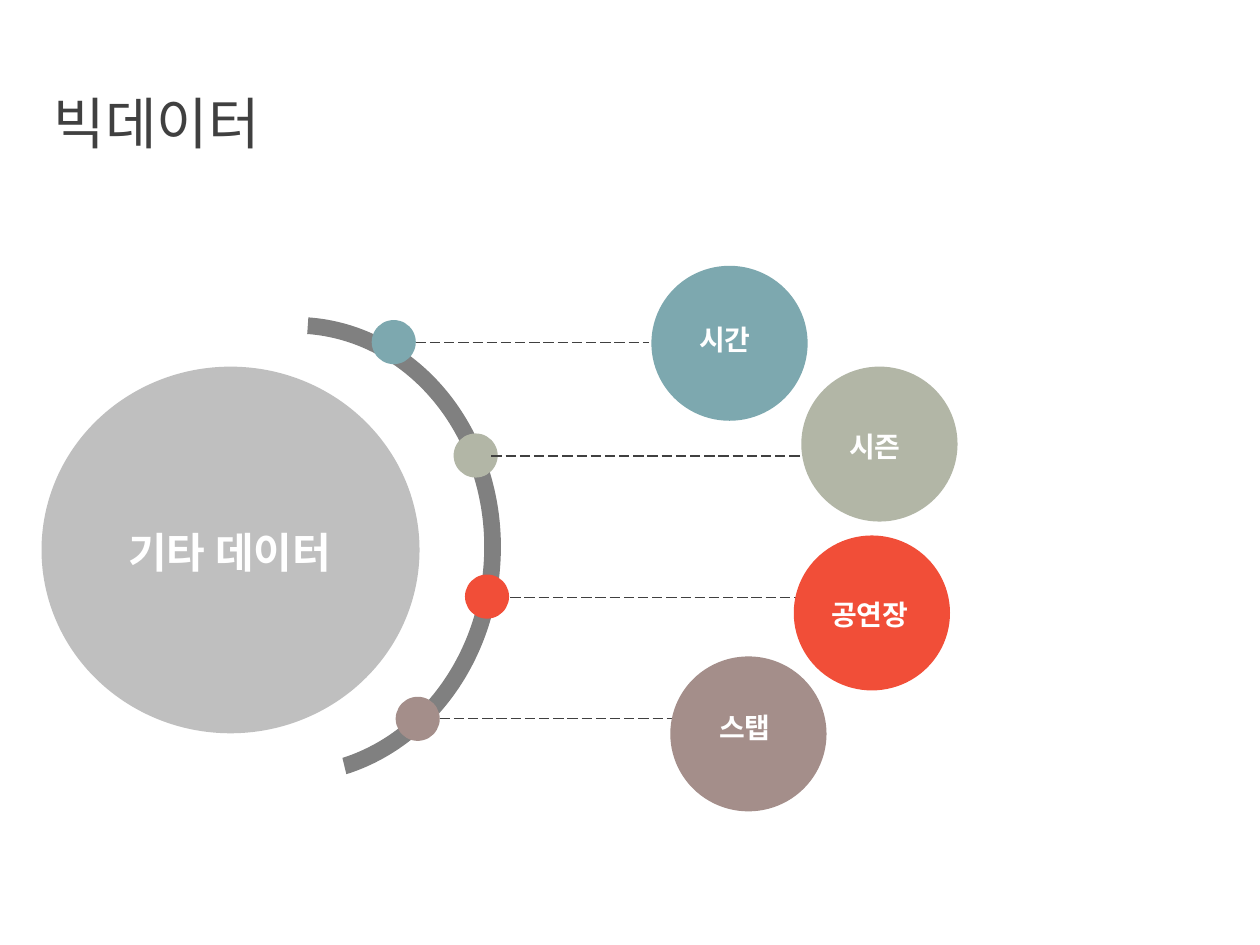
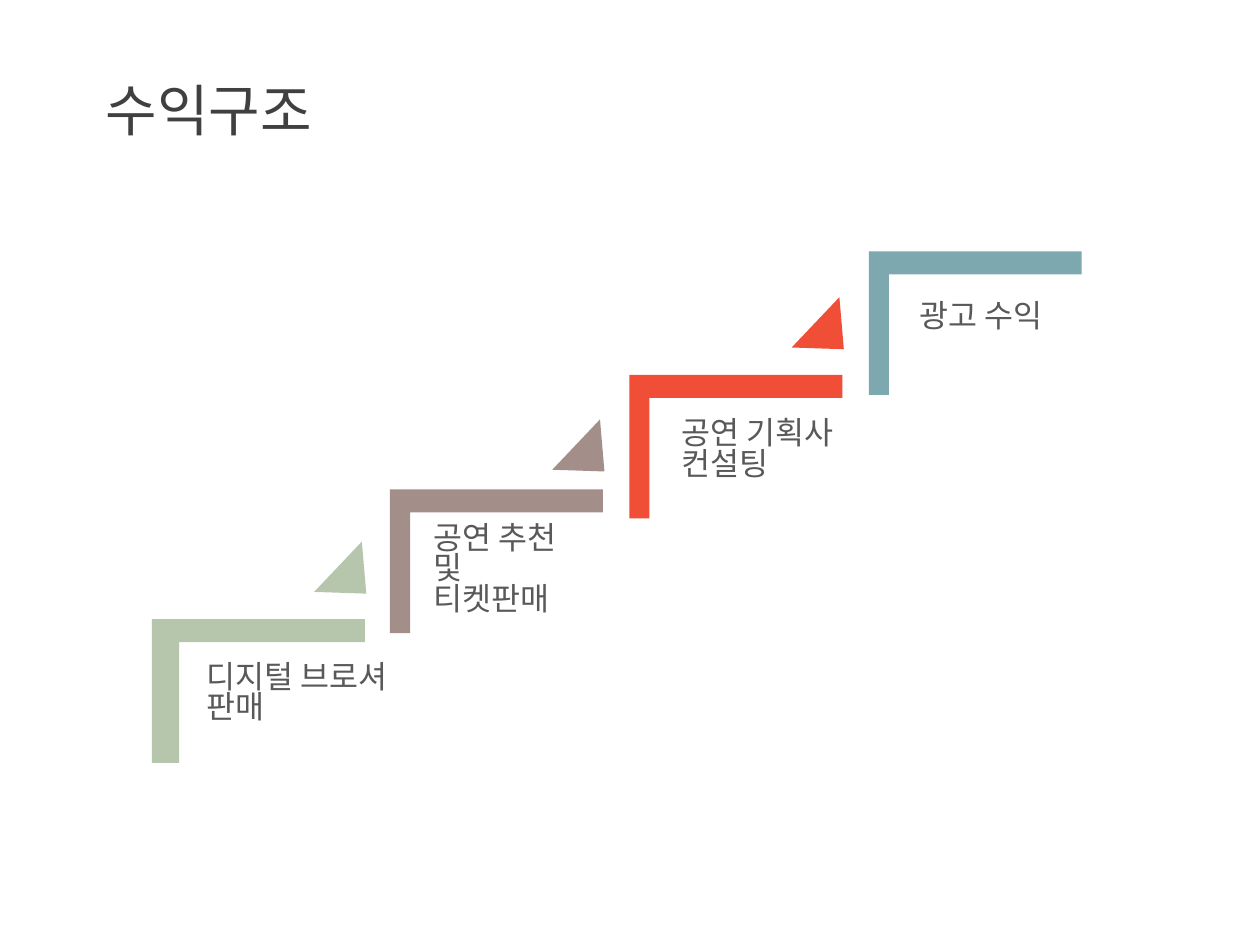
from dataclasses import dataclass

from lxml.etree import SubElement
from pptx import Presentation
from pptx.dml.color import RGBColor
from pptx.enum.dml import MSO_LINE
from pptx.enum.shapes import MSO_CONNECTOR, MSO_SHAPE
from pptx.enum.text import MSO_AUTO_SIZE
from pptx.oxml.ns import qn
from pptx.shapes.autoshape import Shape
from pptx.slide import Slide
from pptx.util import Emu, Pt

PX = 9144  # EMU per px, 100 px to the inch

WHITE = RGBColor(0xFF, 0xFF, 0xFF)
DARK = RGBColor(0x40, 0x40, 0x40)
BODY_GREY = RGBColor(0x59, 0x59, 0x59)
ARC_GREY = RGBColor(0x80, 0x80, 0x80)
LIGHT_GREY = RGBColor(0xBF, 0xBF, 0xBF)
TEAL = RGBColor(0x7D, 0xA8, 0xAF)
SAGE = RGBColor(0xB2, 0xB6, 0xA6)
GREEN = RGBColor(0xB6, 0xC6, 0xAD)
RED = RGBColor(0xF1, 0x4E, 0x38)
MAUVE = RGBColor(0xA4, 0x8E, 0x8A)

KOREAN = "Noto Sans CJK KR"
TITLE = {"name": KOREAN, "size": Pt(32), "bold": False}
HUB = {"name": KOREAN, "size": Pt(24), "bold": True}
TOPIC = {"name": KOREAN, "size": Pt(16), "bold": True}
STEP = {"name": "Calibri", "size": Pt(18), "bold": False}

TOPIC_SIZE = (124, 123)
DOT_SIZE = 35
STEP_SIZE = (114, 169)
FIRST_STEP_LEFT, STEP_SPAN = 148, 569
ARROW_OFFSET = 104


@dataclass(frozen=True)
class Box:
    left: int
    top: int
    width: int
    height: int

    def emu(self) -> list[Emu]:
        return [Emu(v * PX) for v in (self.left, self.top, self.width, self.height)]


@dataclass(frozen=True)
class Topic:
    name: str
    color: RGBColor
    circle: tuple[int, int]
    dot: tuple[int, int]
    line: tuple[int, int, int]  # start x, end x, y
    label: Box


@dataclass(frozen=True)
class Step:
    lines: tuple[str, ...]
    color: RGBColor
    top: int
    thickness: float
    label: Box
    arrow_top: int | None = None


TOPICS = (
    Topic("시간", TEAL, (517, 211), (295, 254), (330, 515, 272), Box(545, 251, 65, 37)),
    Topic("시즌", SAGE, (636, 291), (360, 344), (390, 663, 362), Box(664, 336, 64, 37)),
    Topic("공연장", RED, (630, 425), (369, 456), (405, 671, 474), Box(650, 469, 86, 37)),
    Topic("스탭", MAUVE, (532, 521), (314, 553), (349, 545, 570), Box(561, 559, 64, 37)),
)

STEPS = (
    Step(("디지털 브로셔 판매",), GREEN, 464, 0.19, Box(154, 522, 180, 59), 445),
    Step(("공연 추천", "및", "티켓판매"), MAUVE, 361, 0.14, Box(334, 412, 180, 83), 348),
    Step(("공연 기획사", "컨설팅"), RED, 270, 0.14, Box(531, 329, 180, 59), 251),
    Step(("광고 수익",), TEAL, 172, 0.14, Box(720, 236, 180, 35)),
)


def add_filled(slide: Slide, kind: MSO_SHAPE, box: Box, color: RGBColor,
               rotation: float = 0, adjustments: tuple[float, ...] = ()) -> Shape:
    shape = slide.shapes.add_shape(kind, *box.emu())
    shape.shadow.inherit = False
    shape.fill.solid()
    shape.fill.fore_color.rgb = color
    shape.line.fill.background()
    shape.rotation = rotation
    for index, value in enumerate(adjustments):
        shape.adjustments[index] = value
    return shape


def add_text(slide: Slide, box: Box, lines: tuple[str, ...], style: dict,
             color: RGBColor, wrap: bool = False, spacing: float = 1.0) -> None:
    frame = slide.shapes.add_textbox(*box.emu()).text_frame
    frame.word_wrap = wrap
    frame.auto_size = MSO_AUTO_SIZE.SHAPE_TO_FIT_TEXT
    for index, line in enumerate(lines):
        paragraph = frame.paragraphs[0] if index == 0 else frame.add_paragraph()
        paragraph.line_spacing = spacing
        run = paragraph.add_run()
        run.text = line
        for attribute, value in style.items():
            setattr(run.font, attribute, value)
        run.font.color.rgb = color
        # Hangul takes its typeface from the East Asian font entry
        east_asian = SubElement(run._r.get_or_add_rPr(), qn("a:ea"))
        east_asian.set("typeface", style["name"])


def add_dashed_line(slide: Slide, start: int, end: int, y: int) -> None:
    line = slide.shapes.add_connector(
        MSO_CONNECTOR.STRAIGHT, *(Emu(v * PX) for v in (start, y, end, y)))
    line_format = {"width": Pt(0.75), "dash_style": MSO_LINE.LONG_DASH}
    line.line.color.rgb = DARK
    for attribute, value in line_format.items():
        setattr(line.line, attribute, value)
    SubElement(line._element.spPr, qn("a:effectLst"))


def add_titled_slide(deck: Presentation, title: str, left: int, top: int) -> Slide:
    slide = deck.slides.add_slide(deck.slide_layouts[6])
    add_text(slide, Box(left, top, 200, 64), (title,), TITLE, DARK)
    return slide


def build_big_data(deck: Presentation) -> None:
    slide = add_titled_slide(deck, "빅데이터", 33, 65)
    add_filled(slide, MSO_SHAPE.OVAL, Box(33, 291, 300, 291), LIGHT_GREY)
    add_text(slide, Box(92, 413, 200, 51), ("기타 데이터",), HUB, WHITE, wrap=True)
    add_filled(slide, MSO_SHAPE.BLOCK_ARC, Box(47, 271, 370, 331), ARC_GREY,
               93.3, (108.39, 205.89, 0.04))
    for topic in TOPICS:
        add_filled(slide, MSO_SHAPE.OVAL, Box(*topic.dot, DOT_SIZE, DOT_SIZE), topic.color)
        add_dashed_line(slide, *topic.line)
        add_filled(slide, MSO_SHAPE.OVAL, Box(*topic.circle, *TOPIC_SIZE), topic.color)
        add_text(slide, topic.label, (topic.name,), TOPIC, WHITE)


def build_revenue(deck: Presentation) -> None:
    slide = add_titled_slide(deck, "수익구조", 74, 55)
    for index, step in enumerate(STEPS):
        left = FIRST_STEP_LEFT + index * STEP_SPAN // (len(STEPS) - 1)
        add_filled(slide, MSO_SHAPE.CORNER, Box(left, step.top, *STEP_SIZE),
                   step.color, 90, (step.thickness, 0.16))
        if step.arrow_top is not None:
            add_filled(slide, MSO_SHAPE.FLOWCHART_MERGE,
                       Box(left + ARROW_OFFSET, step.arrow_top, 55, 31), step.color, 313.5)
        add_text(slide, step.label, step.lines, STEP, BODY_GREY, wrap=True, spacing=0.8)


def main() -> None:
    deck = Presentation()
    deck.slide_width, deck.slide_height = Emu(1000 * PX), Emu(750 * PX)
    build_big_data(deck)
    build_revenue(deck)
    deck.save("out.pptx")


if __name__ == "__main__":
    main()
